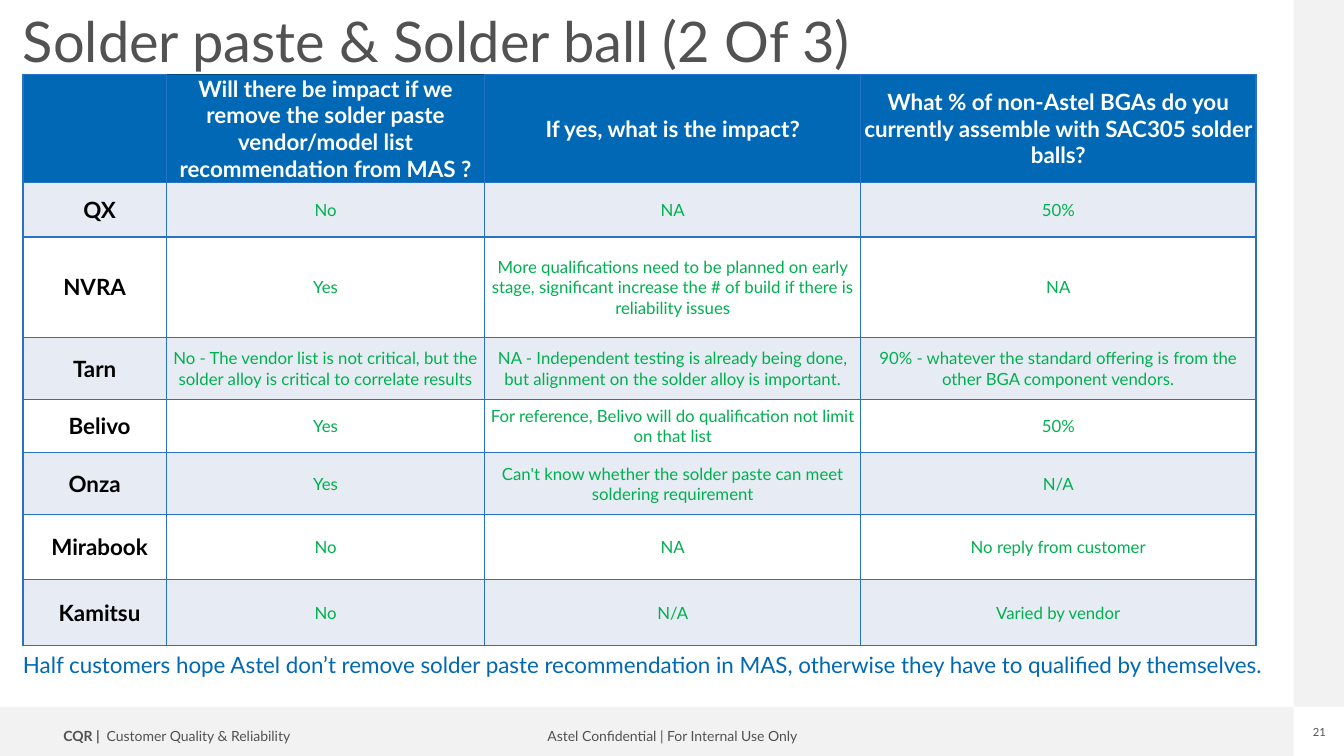
from lxml.etree import SubElement
from pptx import Presentation
from pptx.dml.color import RGBColor
from pptx.enum.shapes import MSO_SHAPE
from pptx.enum.text import MSO_ANCHOR, PP_ALIGN
from pptx.oxml.ns import qn
from pptx.util import Cm, Pt

BLUE, GREY, GREEN = "0068B5", "525252", "00B050"
WHITE, BLACK, BAND, STRIP = "FFFFFF", "000000", "E7EBF3", "F2F2F2"
EDGE, DARK = "2872C5", "004A86"

WIDTHS = [3.61, 8.03, 9.47, 9.96]
HEIGHTS = [2.72, 1.37, 2.54, 1.55, 1.35, 1.55, 1.65, 1.65]
ROWS = [
    ["",
     "Will there be impact if we remove the solder paste vendor/model list "
     "recommendation from MAS ?",
     "If yes, what is the impact?",
     "What % of non-Astel BGAs do you currently assemble with SAC305 solder balls?"],
    ["QX", "No", "NA", "50%"],
    ["NVRA", "Yes",
     "More qualifications need to be planned on early stage, significant "
     "increase the # of build if there is reliability issues",
     "NA"],
    ["Tarn",
     "No - The vendor list is not critical, but the solder alloy is critical "
     "to correlate results",
     "NA - Independent testing is already being done, but alignment on the "
     "solder alloy is important.",
     "90% - whatever the standard offering is from the other BGA component vendors."],
    ["Belivo", "Yes",
     "For reference, Belivo will do qualification not limit on that list", "50%"],
    ["Onza", "Yes",
     "Can't know whether the solder paste can meet soldering requirement", "N/A"],
    ["Mirabook", "No", "NA", "No reply from customer"],
    ["Kamitsu", "No", "N/A", "Varied by vendor"],
]
INSET = {"QX", "Belivo", "Mirabook", "Kamitsu"}


def color(code):
    return RGBColor.from_string(code)


def style(run, size, code, bold=False):
    font = run.font
    font.name, font.size, font.bold = "Lato", Pt(size), bold
    font.color.rgb = color(code)


def margins(box, left=0, top=0):
    box.margin_left = box.margin_right = Cm(left)
    box.margin_top = box.margin_bottom = Cm(top)


def add_bar(slide, left, top, width, height):
    bar = slide.shapes.add_shape(
        MSO_SHAPE.RECTANGLE, Cm(left), Cm(top), Cm(width), Cm(height))
    bar.shadow.inherit = False
    bar.fill.solid()
    bar.fill.fore_color.rgb = color(STRIP)
    bar.line.fill.background()


def add_text(slide, area, text, size, code, align=PP_ALIGN.LEFT,
             pad=(0, 0), space=1.0, wrap=True):
    box = slide.shapes.add_textbox(*[Cm(side) for side in area])
    frame = box.text_frame
    frame.word_wrap = wrap
    margins(frame, *pad)
    frame.text = text
    para = frame.paragraphs[0]
    para.alignment, para.line_spacing = align, space
    style(para.runs[0], size, code)
    return para


def add_edge(cell, side, code):
    line = SubElement(cell._tc.get_or_add_tcPr(), qn("a:" + side), w=str(Pt(1)))
    fill = SubElement(line, qn("a:solidFill"))
    SubElement(fill, qn("a:srgbClr"), val=code)


def fill_cell(cell, text, row, col):
    head = row == 0
    cell.vertical_anchor = MSO_ANCHOR.MIDDLE
    margins(cell)
    if text in INSET:
        cell.margin_left = Cm(0.25)

    # Borders go before the fill in the cell properties
    for side in ("lnL", "lnR", "lnT", "lnB"):
        dark = head and col == 1 and side == "lnT"
        add_edge(cell, side, DARK if dark else EDGE)
    cell.fill.solid()
    cell.fill.fore_color.rgb = color(BLUE if head else BAND if row % 2 else WHITE)

    cell.text_frame.text = text
    para = cell.text_frame.paragraphs[0]
    para.alignment = PP_ALIGN.CENTER
    for run in para.runs:
        if head:
            style(run, 16, WHITE, True)
        elif col == 0:
            style(run, 16, BLACK, True)
        else:
            style(run, 12, GREEN)


def add_grid(slide):
    grid = slide.shapes.add_table(
        len(ROWS), len(WIDTHS), Cm(0.58), Cm(1.88),
        Cm(sum(WIDTHS)), Cm(sum(HEIGHTS))).table
    for col, width in enumerate(WIDTHS):
        grid.columns[col].width = Cm(width)
    for row, texts in enumerate(ROWS):
        grid.rows[row].height = Cm(HEIGHTS[row])
        for col, text in enumerate(texts):
            fill_cell(grid.cell(row, col), text, row, col)


def main():
    deck = Presentation()
    deck.slide_width, deck.slide_height = Cm(33.87), Cm(19.05)
    slide = deck.slides.add_slide(deck.slide_layouts[6])

    # Grey strips along the bottom and right
    add_bar(slide, 0, 17.81, 32.6, 1.24)
    add_bar(slide, 32.61, 0, 1.26, 17.81)

    # Footer
    pad = (0.25, 0.13)
    add_text(slide, (13.44, 18.24, 7.01, 0.64),
             "Astel Confidential | For Internal Use Only", 10, GREY,
             PP_ALIGN.CENTER, pad, 0.9)
    unit = add_text(slide, (1.35, 18.24, 6.45, 0.64), "CQR | ", 10, GREY,
                    pad=pad, space=0.9)
    unit.runs[0].font.bold = True
    style(unit.add_run(), 10, GREY)
    unit.runs[1].text = " Customer Quality & Reliability"
    add_text(slide, (33.07, 18.29, 0.36, 0.33), "21", 8, GREY,
             PP_ALIGN.CENTER, wrap=False)

    # Title, table and conclusion
    add_text(slide, (0.58, 0.36, 30.58, 2.64),
             "Solder paste & Solder ball (2 Of 3)", 40, GREY, space=0.9)
    add_grid(slide)
    add_text(slide, (0.58, 16.41, 31.57, 2.06),
             "Half customers hope Astel don’t remove solder paste recommendation "
             "in MAS, otherwise they have to qualified by themselves.", 16, BLUE)

    deck.save("out.pptx")


if __name__ == "__main__":
    main()
